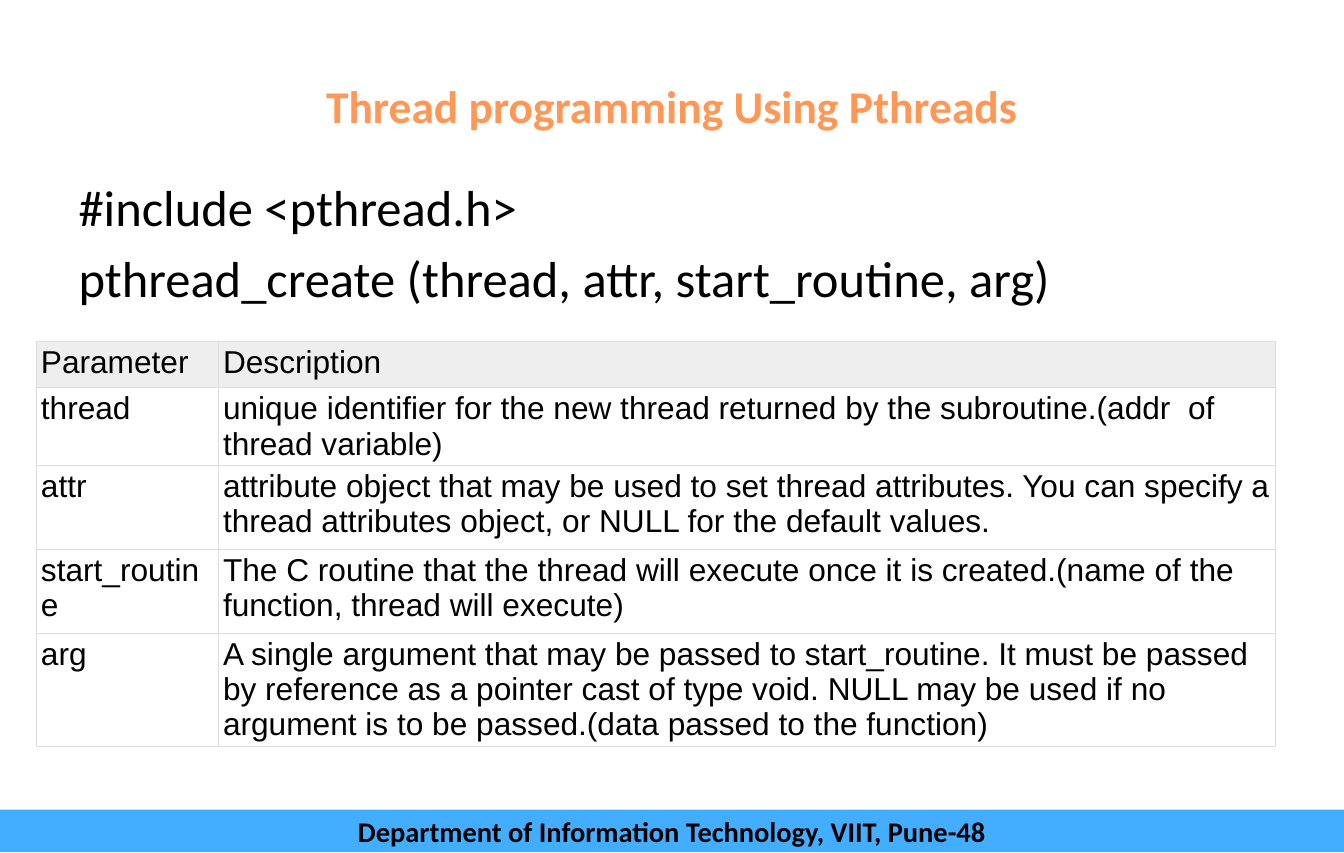
"""Build a slide that explains the parameters of pthread_create."""
from dataclasses import dataclass

from lxml import etree
from pptx import Presentation
from pptx.dml.color import RGBColor
from pptx.enum.shapes import MSO_SHAPE
from pptx.enum.text import MSO_ANCHOR, MSO_AUTO_SIZE, PP_ALIGN
from pptx.oxml.ns import qn
from pptx.util import Cm, Inches, Pt

RECTANGLE = MSO_SHAPE.RECTANGLE
MIDDLE, TOP = MSO_ANCHOR.MIDDLE, MSO_ANCHOR.TOP
CENTER, LEFT = PP_ALIGN.CENTER, PP_ALIGN.LEFT
NO_AUTOFIT = MSO_AUTO_SIZE.NONE


@dataclass(frozen=True)
class Theme:
    """Hold the fonts, type sizes and colours of the slide."""
    text_font: str = "Calibri"
    table_font: str = "Arial"
    title_size: float = 28.8
    body_size: float = 32
    table_size: float = 20
    footer_size: float = 18
    border_width: float = 0.6
    ink: str = "000000"
    accent: str = "FF9856"
    footer_fill: str = "43AEFF"
    header_fill: str = "EEEEEE"
    cell_fill: str = "FFFFFF"
    border: str = "DDDDDD"


THEME = Theme()
PAGE_WIDTH, PAGE_HEIGHT = Cm(30), Inches(7.5)
CODE_LINES = ["#include <pthread.h>", "pthread_create (thread, attr, start_routine, arg)"]
COLUMN_WIDTHS = [1.6, 9.29]
ROW_HEIGHTS = [0.41, 0.68, 0.74, 0.74, 0.99]
PARAMETER_ROWS = [
    ("Parameter", "Description"),
    ("thread", "unique identifier for the new thread returned by the subroutine."
     "(addr  of thread variable)"),
    ("attr", "attribute object that may be used to set thread attributes. "
     "You can specify a thread attributes object, or NULL for the default values."),
    ("start_routine", "The C routine that the thread will execute once it is created."
     "(name of the function, thread will execute)"),
    ("arg", "A single argument that may be passed to start_routine. "
     "It must be passed by reference as a pointer cast of type void. "
     "NULL may be used if no argument is to be passed.(data passed to the function)"),
]


def add_span(para, text, font, size, color=THEME.ink, bold=False):
    """Add one formatted run to a paragraph."""
    span = para.add_run()
    span.text = text
    span.font.name = font
    span.font.size = Pt(size)
    span.font.bold = bold
    span.font.color.rgb = RGBColor.from_string(color)


def place(box, left, top, width, height):
    """Move and size a placeholder."""
    box.left, box.top = Inches(left), Inches(top)
    box.width, box.height = Inches(width), Inches(height)


def set_frame(frame, anchor):
    """Make a text frame wrap at a fixed size."""
    frame.word_wrap = True
    frame.auto_size = NO_AUTOFIT
    frame.vertical_anchor = anchor


def fill_title(box, text):
    """Place and write the title."""
    place(box, 0.59, 0.3, 10.63, 1.25)
    set_frame(box.text_frame, MIDDLE)
    para = box.text_frame.paragraphs[0]
    para.alignment = CENTER
    add_span(para, text, THEME.text_font, THEME.title_size, THEME.accent, True)


def fill_body(box, lines):
    """Place the body and write its lines without bullets."""
    place(box, 0.59, 1.5, 10.63, 5.2)
    frame = box.text_frame
    set_frame(frame, TOP)
    for index, line in enumerate(lines):
        para = frame.add_paragraph() if index else frame.paragraphs[0]
        properties = para._p.get_or_add_pPr()
        properties.set("marL", "0")
        properties.set("indent", "0")
        etree.SubElement(properties, qn("a:buNone"))
        para.alignment = LEFT
        para.space_before = Pt(6 if index else 0)
        add_span(para, line, THEME.text_font, THEME.body_size)


def add_borders(cell):
    """Draw a thin line on each side of a cell."""
    properties = cell._tc.get_or_add_tcPr()
    for side in ("lnL", "lnR", "lnT", "lnB"):
        line = etree.SubElement(properties, qn(f"a:{side}"), w=str(Pt(THEME.border_width)))
        fill = etree.SubElement(line, qn("a:solidFill"))
        etree.SubElement(fill, qn("a:srgbClr"), val=THEME.border)


def fill_cell(cell, text, color):
    """Write and format one table cell."""
    cell.margin_left = cell.margin_right = Inches(0.04)
    cell.margin_top = cell.margin_bottom = Inches(0.03)
    cell.vertical_anchor = TOP
    add_borders(cell)
    cell.fill.solid()
    cell.fill.fore_color.rgb = RGBColor.from_string(color)
    add_span(cell.text_frame.paragraphs[0], text, THEME.table_font, THEME.table_size)


def add_parameter_table(page, rows):
    """Add the table of parameters."""
    table = page.shapes.add_table(
        len(rows), len(COLUMN_WIDTHS), Inches(0.32), Inches(3),
        Inches(sum(COLUMN_WIDTHS)), Inches(sum(ROW_HEIGHTS))).table
    table.horz_banding = False
    for column, width in zip(table.columns, COLUMN_WIDTHS):
        column.width = Inches(width)
    for row_index, (row, height, texts) in enumerate(zip(table.rows, ROW_HEIGHTS, rows)):
        row.height = Inches(height)
        color = THEME.cell_fill if row_index else THEME.header_fill
        for cell, text in zip(row.cells, texts):
            fill_cell(cell, text, color)


def add_footer(page, text):
    """Add the coloured bar at the foot of the page."""
    bar = page.shapes.add_shape(
        RECTANGLE, Inches(0), Inches(7.12), PAGE_WIDTH, Inches(0.37))
    bar.shadow.inherit = False
    bar.fill.solid()
    bar.fill.fore_color.rgb = RGBColor.from_string(THEME.footer_fill)
    bar.line.fill.background()
    set_frame(bar.text_frame, MIDDLE)
    para = bar.text_frame.paragraphs[0]
    para.alignment = CENTER
    add_span(para, text, THEME.text_font, THEME.footer_size, bold=True)


def main():
    """Build and save the deck."""
    deck = Presentation()
    deck.slide_width, deck.slide_height = PAGE_WIDTH, PAGE_HEIGHT
    page = deck.slides.add_slide(deck.slide_layouts[1])
    fill_title(page.shapes.title, "Thread programming Using Pthreads")
    fill_body(page.placeholders[1], CODE_LINES)
    add_parameter_table(page, PARAMETER_ROWS)
    add_footer(page, "Department of Information Technology, VIIT, Pune-48")
    deck.save("out.pptx")


if __name__ == "__main__":
    main()
